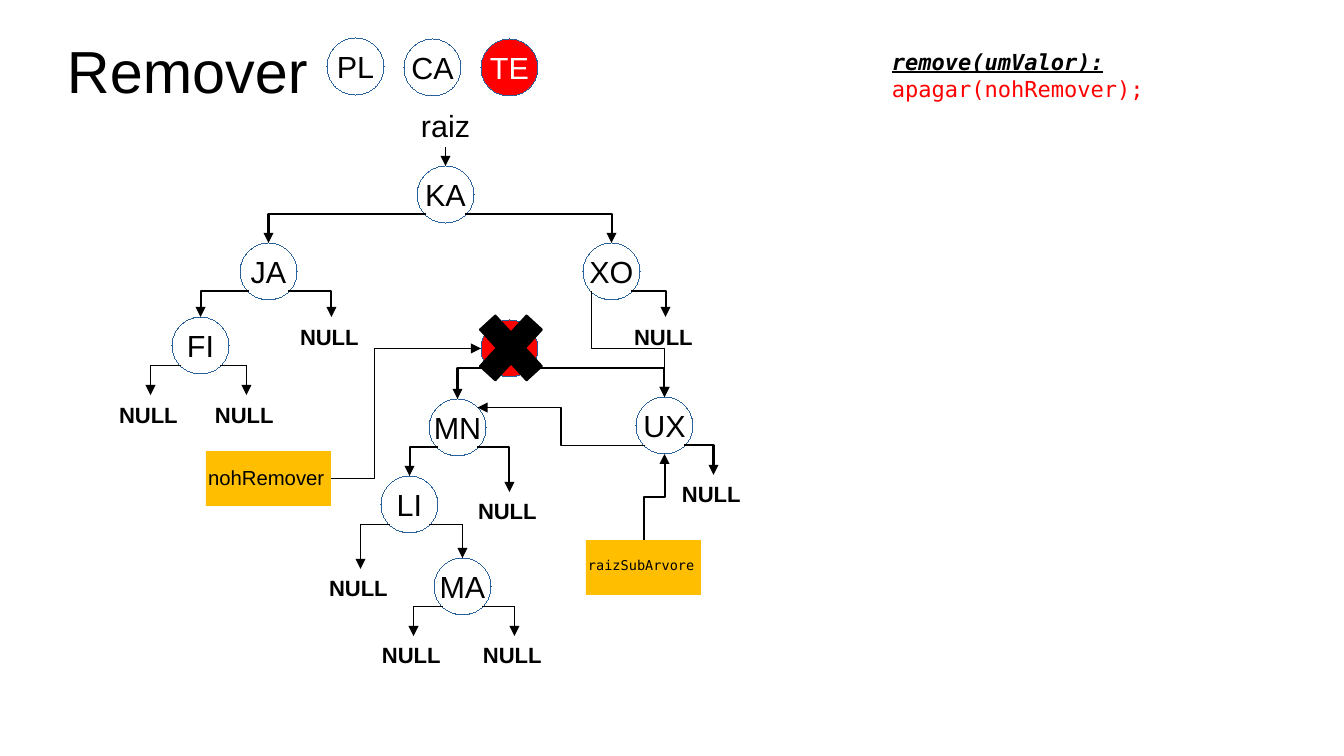
from dataclasses import dataclass

from lxml import etree
from pptx import Presentation
from pptx.dml.color import RGBColor
from pptx.enum.shapes import MSO_CONNECTOR, MSO_SHAPE
from pptx.enum.text import MSO_ANCHOR, MSO_AUTO_SIZE, PP_ALIGN
from pptx.oxml.ns import qn
from pptx.shapes.autoshape import Shape
from pptx.shapes.connector import Connector
from pptx.slide import Slide
from pptx.text.text import Font
from pptx.util import Pt

PX = 914400 / 122
BLACK = RGBColor(0x00, 0x00, 0x00)
WHITE = RGBColor(0xFF, 0xFF, 0xFF)
RED = RGBColor(0xFF, 0x00, 0x00)
BLUE = RGBColor(0x2A, 0x60, 0x99)
AMBER = RGBColor(0xFF, 0xBF, 0x00)
SANS = "Arial"
MONO = "DejaVu Sans Mono"
OVAL = MSO_SHAPE.OVAL
RECTANGLE = MSO_SHAPE.RECTANGLE
CROSS = MSO_SHAPE.MATH_MULTIPLY
ELBOW = MSO_CONNECTOR.ELBOW
LEFT = PP_ALIGN.LEFT
CENTER = PP_ALIGN.CENTER
MIDDLE = MSO_ANCHOR.MIDDLE
FIT_SHAPE = MSO_AUTO_SIZE.SHAPE_TO_FIT_TEXT
FIT_NONE = MSO_AUTO_SIZE.NONE
HAIRLINE = 1
NORMAL = Pt(1)
STRONG = Pt(1.2)
DIAMETER = 57
OVAL_SITES = {0: (0.5, 0), 2: (0, 0.5), 3: (0.15, 0.85), 4: (0.5, 1),
              5: (0.85, 0.85), 7: (0.85, 0.15)}
BOX_SITES = {0: (0.5, 0), 2: (0.5, 1), 3: (1, 0.5)}
BOTTOM_LEFT = 3
BOTTOM_RIGHT = 5


@dataclass
class Node:
    key: str
    left: int
    top: int
    fill: RGBColor = WHITE
    color: RGBColor = BLACK


@dataclass
class Label:
    key: str
    text: str
    left: int
    top: int
    width: int = 87
    height: int = 37
    size: int = 13
    font: str = SANS
    bold: bool = False
    align: PP_ALIGN = LEFT


@dataclass
class Branch:
    parent: str
    left: str
    right: str
    weight: int = STRONG


@dataclass
class Detour:
    begin: str
    begin_site: int
    end: str
    end_site: int
    rotation: int
    flips: str
    bend: int
    weight: int = NORMAL


@dataclass
class Anchor:
    shape: Shape
    sites: dict[int, tuple[float, float]]

    def point(self, site: int) -> tuple[float, float]:
        across, down = self.sites[site]
        return (self.shape.left + across * self.shape.width,
                self.shape.top + down * self.shape.height)


NODES = [
    Node("KA", 417, 166), Node("JA", 240, 243), Node("XO", 583, 243),
    Node("TE", 481, 320, RED, WHITE), Node("UX", 636, 397), Node("MN", 429, 399),
    Node("FI", 172, 317), Node("LI", 381, 476), Node("MA", 434, 558),
]
HISTORY = [Node("PL", 327, 38), Node("CA", 404, 39), Node("TE", 481, 39, RED, WHITE)]
NULL_PLACES = {
    "JA right": (288, 317), "XO right": (622, 317), "UX right": (670, 475),
    "MN right": (466, 492), "FI left": (107, 395), "FI right": (203, 395),
    "LI left": (317, 569), "MA left": (370, 636), "MA right": (471, 636),
}
LABELS = [Label(key, "NULL", left, top, bold=True)
          for key, (left, top) in NULL_PLACES.items()]
LABELS += [
    Label("raiz", "raiz", 400, 101, 91, 46, 18, align=CENTER),
    Label("raizSubArvore", "raizSubArvore", 576, 551, 212, 63, 8, MONO),
    Label("nohRemover", "nohRemover", 196, 459, 150, 57, 12),
]
TAGS = {"remover tag": (206, 451, 125, 55), "subtree tag": (586, 540, 115, 55)}
BRANCHES = [
    Branch("KA", "JA", "XO"), Branch("JA", "FI", "JA right"),
    Branch("XO", "", "XO right"), Branch("TE", "MN", "UX"),
    Branch("UX", "", "UX right"), Branch("MN", "LI", "MN right"),
    Branch("FI", "FI left", "FI right", HAIRLINE),
    Branch("LI", "LI left", "MA", HAIRLINE),
    Branch("MA", "MA left", "MA right", HAIRLINE),
]
DETOURS = [
    Detour("raiz", 2, "KA", 0, 90, "", 50000),
    Detour("XO", 3, "UX", 0, 270, "H", 54100),
    Detour("UX", 3, "MN", 7, 180, "", 50000),
    Detour("remover tag", 3, "TE", 2, 0, "V", 29100),
    Detour("subtree tag", 0, "UX", 4, 90, "HV", 49900, STRONG),
]


def emu(pixels: float) -> int:
    return round(pixels * PX)


def style_font(font: Font, name: str, size: int, color: RGBColor, bold: bool = False) -> None:
    font.name = name
    font.size = Pt(size)
    font.bold = bold
    font.color.rgb = color


def add_figure(page: Slide, kind: MSO_SHAPE, left: int, top: int, width: int,
               height: int, fill: RGBColor) -> Shape:
    shape = page.shapes.add_shape(kind, emu(left), emu(top), emu(width), emu(height))
    shape.shadow.inherit = False
    shape.fill.solid()
    shape.fill.fore_color.rgb = fill
    shape.line.fill.background()
    return shape


def add_node(page: Slide, node: Node) -> Anchor:
    shape = add_figure(page, OVAL, node.left, node.top, DIAMETER, DIAMETER, node.fill)
    shape.line.color.rgb = BLUE
    shape.line.width = HAIRLINE
    frame = shape.text_frame
    frame.word_wrap = False
    frame.vertical_anchor = MIDDLE
    frame.text = node.key
    para = frame.paragraphs[0]
    para.alignment = CENTER
    style_font(para.runs[0].font, SANS, 18, node.color)
    return Anchor(shape, OVAL_SITES)


def add_label(page: Slide, label: Label) -> Anchor:
    box = page.shapes.add_textbox(emu(label.left), emu(label.top),
                                  emu(label.width), emu(label.height))
    frame = box.text_frame
    frame.word_wrap = True
    frame.auto_size = FIT_SHAPE
    frame.text = label.text
    for para in frame.paragraphs:
        para.alignment = label.align
        style_font(para.runs[0].font, label.font, label.size, BLACK, label.bold)
    return Anchor(box, BOX_SITES)


def add_wire(page: Slide, anchors: dict[str, Anchor], wire: Detour) -> Connector:
    begin, end = anchors[wire.begin], anchors[wire.end]
    x1, y1 = begin.point(wire.begin_site)
    x2, y2 = end.point(wire.end_site)
    width, height = abs(x2 - x1), abs(y2 - y1)
    if wire.rotation in (90, 270):
        width, height = height, width
    left, top = (x1 + x2 - width) / 2, (y1 + y2 - height) / 2
    line = page.shapes.add_connector(ELBOW, round(left), round(top),
                                     round(left + width), round(top + height))
    line.line.color.rgb = BLACK
    line.line.width = wire.weight
    properties = line._element.spPr
    transform = properties.find(qn("a:xfrm"))
    if wire.rotation:
        transform.set("rot", str(wire.rotation * 60000))
    for axis in wire.flips:
        transform.set(f"flip{axis}", "1")
    geometry = properties.find(qn("a:prstGeom"))
    if wire.bend:
        etree.SubElement(geometry.find(qn("a:avLst")), qn("a:gd"),
                         name="adj1", fmla=f"val {wire.bend}")
    else:
        geometry.set("prst", "bentConnector2")
    etree.SubElement(properties.find(qn("a:ln")), qn("a:tailEnd"), type="triangle")
    etree.SubElement(properties, qn("a:effectLst"))
    joints = line._element.find(f".//{qn('p:cNvCxnSpPr')}")
    for tag, anchor, site in (("a:stCxn", begin, wire.begin_site),
                              ("a:endCxn", end, wire.end_site)):
        etree.SubElement(joints, qn(tag), id=str(anchor.shape.shape_id), idx=str(site))
    return line


def add_branch(page: Slide, anchors: dict[str, Anchor], branch: Branch) -> None:
    if branch.left:
        add_wire(page, anchors, Detour(branch.parent, BOTTOM_LEFT, branch.left, 0,
                                       180, "V", 0, branch.weight))
    add_wire(page, anchors, Detour(branch.parent, BOTTOM_RIGHT, branch.right, 0,
                                   0, "", 0, branch.weight))


def add_title(page: Slide) -> None:
    title = add_label(page, Label("title", "Remover", 67, 6, 1210, 127, 35)).shape
    frame = title.text_frame
    frame.auto_size = FIT_NONE
    frame.vertical_anchor = MIDDLE
    frame.margin_left = frame.margin_right = frame.margin_top = frame.margin_bottom = 0


def add_code(page: Slide) -> None:
    text = "remove(umValor):\napagar(nohRemover);"
    code = add_label(page, Label("code", text, 880, 43, 404, 65, 13, MONO)).shape
    heading, call = (para.runs[0].font for para in code.text_frame.paragraphs)
    heading.bold = heading.italic = heading.underline = True
    call.color.rgb = RED


def main() -> None:
    deck = Presentation()
    deck.slide_width, deck.slide_height = emu(1344), emu(756)
    page = deck.slides.add_slide(deck.slide_layouts[6])
    add_title(page)
    anchors = {key: Anchor(add_figure(page, RECTANGLE, *place, AMBER), BOX_SITES)
               for key, place in TAGS.items()}
    anchors |= {node.key: add_node(page, node) for node in NODES}
    anchors |= {label.key: add_label(page, label) for label in LABELS}
    for node in HISTORY:
        add_node(page, node)
    for branch in BRANCHES:
        add_branch(page, anchors, branch)
    for detour in DETOURS:
        add_wire(page, anchors, detour)
    cross = add_figure(page, CROSS, 466, 299, 90, 98, BLACK)
    cross.adjustments[0] = 0.235
    cross.line.color.rgb = BLACK
    cross.line.width = NORMAL
    add_code(page)
    deck.save("out.pptx")


if __name__ == "__main__":
    main()
